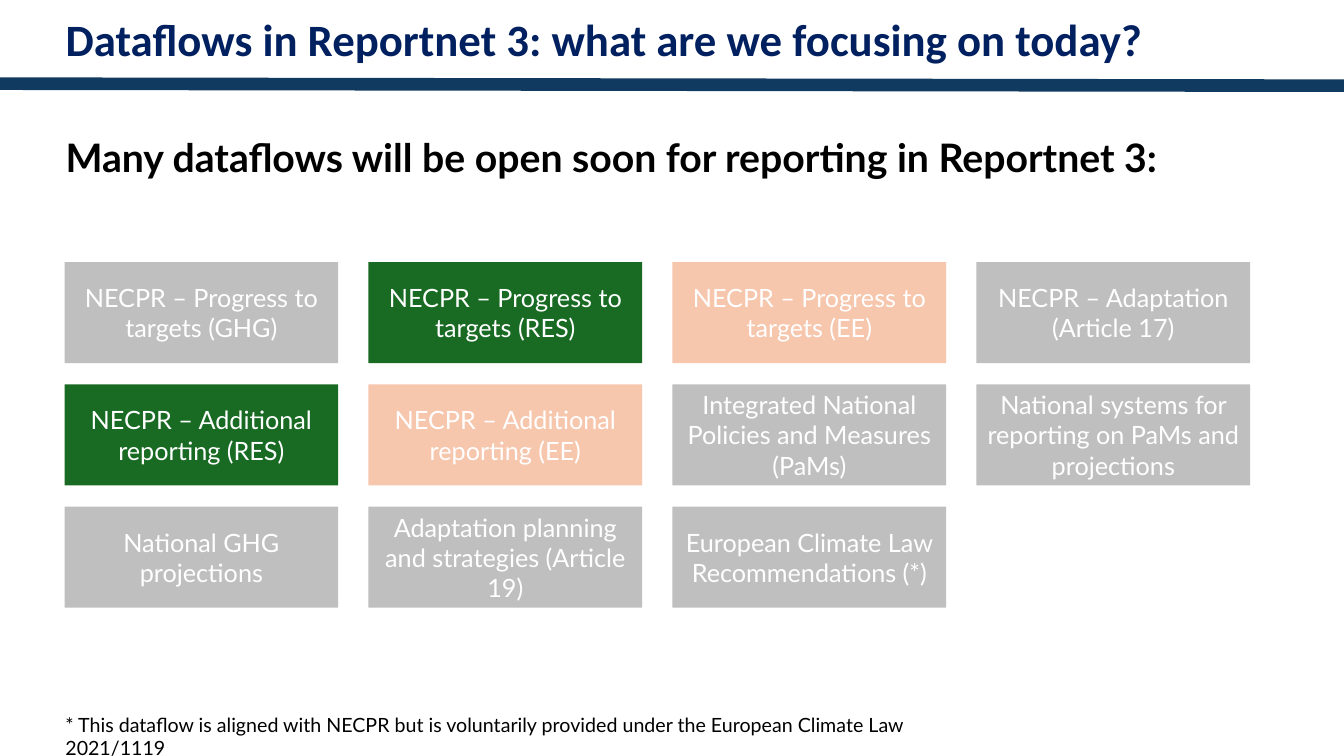
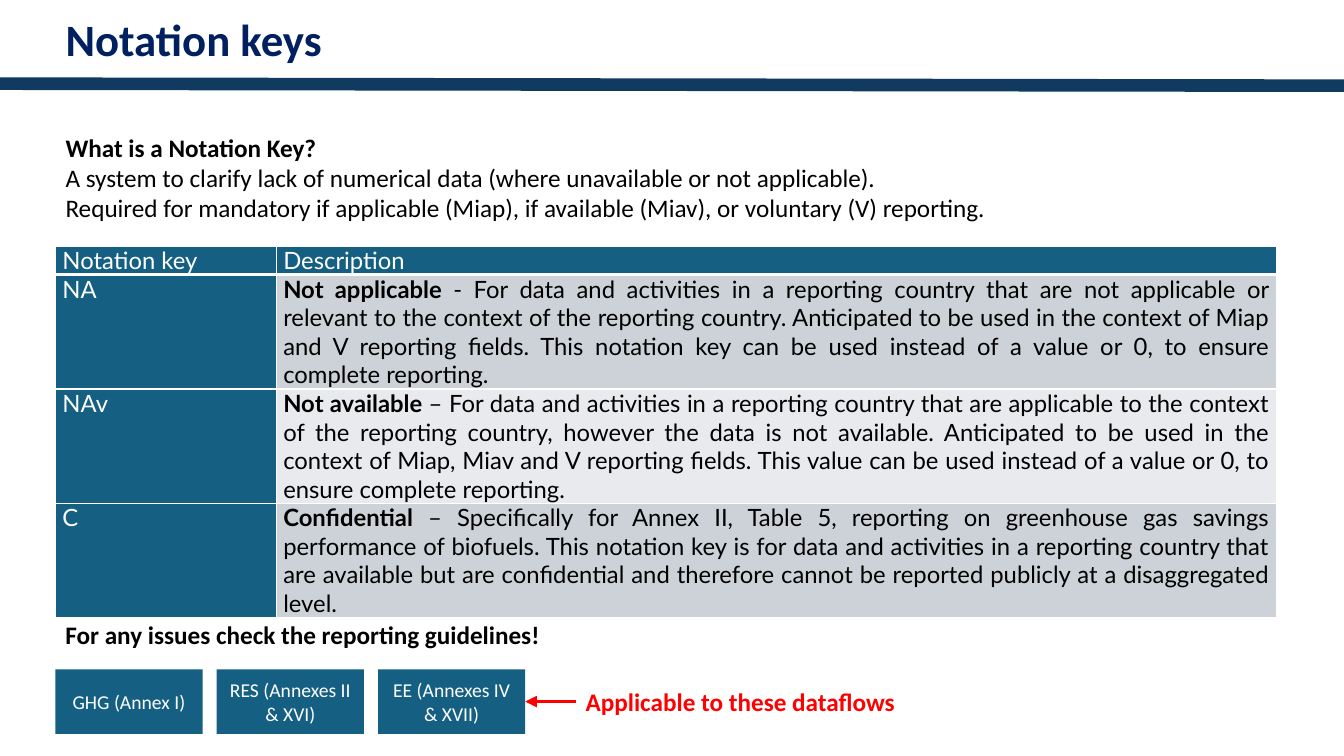
from dataclasses import dataclass

from lxml.etree import SubElement
from pptx import Presentation
from pptx.dml.color import RGBColor
from pptx.enum.shapes import MSO_CONNECTOR, MSO_SHAPE
from pptx.enum.text import MSO_ANCHOR, MSO_AUTO_SIZE, PP_ALIGN
from pptx.oxml.ns import qn
from pptx.util import Inches, Pt


@dataclass(frozen=True)
class Theme:
    heading_font: str = "Calibri"
    body_font: str = "Lato"
    navy: str = "002060"
    band: str = "113A60"
    black: str = "000000"
    white: str = "FFFFFF"
    gray: str = "BFBFBF"
    green: str = "196B24"
    peach: str = "F6C6AD"
    teal: str = "156082"
    row_dark: str = "CCD2D8"
    row_light: str = "E8EAED"
    red: str = "FF0000"
    title_size: float = 32
    lead_size: float = 28
    text_size: float = 18
    table_size: float = 17
    small_size: float = 14


@dataclass(frozen=True)
class Box:
    left: float
    top: float
    width: float
    height: float

    def lengths(self):
        return [Inches(value) for value in (self.left, self.top, self.width, self.height)]


THEME = Theme()

DATAFLOWS = [
    [
        ("NECPR – Progress to targets (GHG)", THEME.gray),
        ("NECPR – Progress to targets (RES)", THEME.green),
        ("NECPR – Progress to targets (EE)", THEME.peach),
        ("NECPR – Adaptation (Article 17)", THEME.gray),
    ],
    [
        ("NECPR – Additional reporting (RES)", THEME.green),
        ("NECPR – Additional reporting (EE)", THEME.peach),
        ("Integrated National Policies and Measures (PaMs)", THEME.gray),
        ("National systems for reporting on PaMs and projections", THEME.gray),
    ],
    [
        ("National GHG projections", THEME.gray),
        ("Adaptation planning and strategies (Article 19)", THEME.gray),
        ("European Climate Law Recommendations (*)", THEME.gray),
    ],
]

NOTATION_KEYS = [
    (
        "NA",
        "Not applicable ",
        "- For data and activities in a reporting country that are not applicable or relevant to the "
        "context of the reporting country. Anticipated to be used in the context of Miap and V reporting "
        "fields. This notation key can be used instead of a value or 0, to ensure complete reporting.",
    ),
    (
        "NAv",
        "Not available ",
        "– For data and activities in a reporting country that are applicable to the context of the "
        "reporting country, however the data is not available. Anticipated to be used in the context of "
        "Miap, Miav and V reporting fields. This value can be used instead of a value or 0, to ensure "
        "complete reporting.",
    ),
    (
        "C",
        "Confidential",
        " – Specifically for Annex II, Table 5, reporting on greenhouse gas savings performance of "
        "biofuels. This notation key is for data and activities in a reporting country that are available "
        "but are confidential and therefore cannot be reported publicly at a disaggregated level.",
    ),
]


def color(value):
    return RGBColor.from_string(value)


def add_run(paragraph, text, size, ink=THEME.black, font=THEME.heading_font, bold=False):
    run = paragraph.add_run()
    run.text = text
    run.font.name = font
    run.font.size = Pt(size)
    run.font.bold = bold
    run.font.color.rgb = color(ink)


def place(shape, box):
    shape.left, shape.top, shape.width, shape.height = box.lengths()


def add_text(slide, box, text, size, **style):
    shape = slide.shapes.add_textbox(*box.lengths())
    shape.text_frame.word_wrap = True
    add_run(shape.text_frame.paragraphs[0], text, size, **style)
    return shape


def add_tile(slide, box, text, fill, size, font):
    shape = slide.shapes.add_shape(MSO_SHAPE.RECTANGLE, *box.lengths())
    shape.shadow.inherit = False
    shape.fill.solid()
    shape.fill.fore_color.rgb = color(fill)
    shape.line.fill.background()
    frame = shape.text_frame
    frame.word_wrap = True
    frame.vertical_anchor = MSO_ANCHOR.MIDDLE
    paragraph = frame.paragraphs[0]
    paragraph.alignment = PP_ALIGN.CENTER
    add_run(paragraph, text, size, ink=THEME.white, font=font)
    return shape


def add_line(slide, start, end, ink, width):
    points = [Inches(value) for value in (*start, *end)]
    connector = slide.shapes.add_connector(MSO_CONNECTOR.STRAIGHT, *points)
    connector.line.color.rgb = color(ink)
    connector.line.width = Pt(width)
    SubElement(connector.element.spPr, qn("a:effectLst"))
    return connector


def style_layout(layout, slide):
    title = layout.placeholders[0]
    place(title, Box(0.55, 0.06, 12.04, 0.64))
    title.text_frame.vertical_anchor = MSO_ANCHOR.MIDDLE
    band = add_line(slide, (0, 0.83), (13.33, 0.85), THEME.band, 9)
    layout.shapes.element.append(band.element)


def fill_title(slide, text):
    frame = slide.shapes.title.text_frame
    frame.auto_size = MSO_AUTO_SIZE.NONE
    paragraph = frame.paragraphs[0]
    paragraph.alignment = PP_ALIGN.LEFT
    add_run(paragraph, text, THEME.title_size, ink=THEME.navy, bold=True)


def fill_body(slide, box, lines, size, font, line_spacing):
    body = slide.placeholders[1]
    place(body, box)
    frame = body.text_frame
    frame.auto_size = MSO_AUTO_SIZE.NONE
    for index, (text, bold) in enumerate(lines):
        paragraph = frame.add_paragraph() if index else frame.paragraphs[0]
        properties = paragraph._p.get_or_add_pPr()
        properties.set("marL", "0")
        properties.set("indent", "0")
        SubElement(properties, qn("a:buNone"))
        paragraph.space_before = Pt(0)
        paragraph.line_spacing = line_spacing
        add_run(paragraph, text, size, font=font, bold=bold)


def add_dataflow_grid(slide, box, gap_x, gap_y):
    columns = max(len(row) for row in DATAFLOWS)
    width = (box.width - gap_x * (columns - 1)) / columns
    height = (box.height - gap_y * (len(DATAFLOWS) - 1)) / len(DATAFLOWS)
    for row, dataflows in enumerate(DATAFLOWS):
        for column, (text, fill) in enumerate(dataflows):
            left = box.left + column * (width + gap_x)
            top = box.top + row * (height + gap_y)
            add_tile(slide, Box(left, top, width, height), text, fill, THEME.text_size, THEME.body_font)


def set_borders(cell, widths):
    properties = cell._tc.get_or_add_tcPr()
    for side, width in widths.items():
        border = SubElement(properties, qn(f"a:ln{side}"), w=str(Pt(width)))
        fill = SubElement(border, qn("a:solidFill"))
        SubElement(fill, qn("a:srgbClr"), val=THEME.white)


def fill_cell(cell, runs, fill, ink, widths):
    set_borders(cell, widths)
    cell.fill.solid()
    cell.fill.fore_color.rgb = color(fill)
    cell.margin_left = cell.margin_right = Inches(0.07)
    cell.margin_top = cell.margin_bottom = 0
    paragraph = cell.text_frame.paragraphs[0]
    paragraph.alignment = PP_ALIGN.JUSTIFY
    paragraph.space_after = Pt(12)
    for text, bold in runs:
        add_run(paragraph, text, THEME.table_size, ink=ink, font=THEME.body_font, bold=bold)


def add_notation_table(slide, box, key_width, header_height):
    table = slide.shapes.add_table(len(NOTATION_KEYS) + 1, 2, *box.lengths()).table
    table.columns[0].width = Inches(key_width)
    table.columns[1].width = Inches(box.width - key_width)
    row_height = (box.height - header_height) / len(NOTATION_KEYS)
    for index, row in enumerate(table.rows):
        row.height = Inches(row_height if index else header_height)
    for column, text in enumerate(("Notation key", "Description")):
        widths = {"L": 1, "R": 1, "T": 1, "B": 3}
        fill_cell(table.cell(0, column), [(text, False)], THEME.teal, THEME.white, widths)
    for index, (key, term, description) in enumerate(NOTATION_KEYS, start=1):
        widths = {"L": 1, "R": 1, "T": 3 if index == 1 else 1, "B": 1}
        shade = THEME.row_dark if index % 2 else THEME.row_light
        fill_cell(table.cell(index, 0), [(key, False)], THEME.teal, THEME.white, widths)
        runs = [(term, True), (description, False)]
        fill_cell(table.cell(index, 1), runs, shade, THEME.black, widths)


def add_applicable_dataflows(slide, box, tile_width, gap, arrow_length):
    left = box.left
    for text in ("GHG (Annex I)", "RES (Annexes II & XVI)", "EE (Annexes IV & XVII)"):
        tile_box = Box(left, box.top, tile_width, box.height)
        tile = add_tile(slide, tile_box, text, THEME.teal, THEME.small_size, THEME.heading_font)
        left += tile_width + gap
    tiles_right = left - gap
    label_left = tiles_right + arrow_length
    middle = box.top + box.height / 2
    label_box = Box(label_left, middle - 0.2, box.left + box.width - label_left, 0.4)
    label = add_text(slide, label_box, "Applicable to these dataflows", THEME.text_size, ink=THEME.red, bold=True)
    arrow = add_line(slide, (label_left, middle), (tiles_right, middle), THEME.red, 2.75)
    arrow.begin_connect(label, 1)
    arrow.end_connect(tile, 3)
    SubElement(arrow.line._get_or_add_ln(), qn("a:tailEnd"), type="triangle")


def build_dataflows(slide):
    fill_title(slide, "Dataflows in Reportnet 3: what are we focusing on today?")
    lead = [("Many dataflows will be open soon for reporting in Reportnet 3:", True)]
    fill_body(slide, Box(0.55, 1.33, 12.49, 1.05), lead, THEME.lead_size, THEME.body_font, 0.9)
    add_dataflow_grid(slide, Box(0.64, 2.6, 11.76, 3.43), 0.3, 0.21)
    note = (
        "* This dataflow is aligned with NECPR but is voluntarily provided "
        "under the European Climate Law 2021/1119"
    )
    add_text(slide, Box(0.55, 7.02, 8.91, 0.34), note, THEME.small_size, font=THEME.body_font)


def build_notation_keys(slide):
    fill_title(slide, "Notation keys")
    introduction = [
        ("What is a Notation Key?", True),
        ("A system to clarify lack of numerical data (where unavailable or not applicable).", False),
        ("Required for mandatory if applicable (Miap), if available (Miav), or voluntary (V) reporting.", False),
    ]
    fill_body(slide, Box(0.55, 1.26, 9.5, 1.01), introduction, THEME.text_size, THEME.heading_font, 1.0)
    add_notation_table(slide, Box(0.55, 2.44, 12.11, 3.67), 2.19, 0.28)
    reminder = "For any issues check the reporting guidelines!"
    add_text(slide, Box(0.55, 6.09, 7.68, 0.4), reminder, THEME.text_size, bold=True)
    add_applicable_dataflows(slide, Box(0.55, 6.64, 8.44, 0.64), 1.46, 0.14, 0.5)


def main():
    presentation = Presentation()
    presentation.slide_width = Inches(13.33)
    presentation.slide_height = Inches(7.5)
    layout = presentation.slide_layouts[1]
    for index, build in enumerate((build_dataflows, build_notation_keys)):
        slide = presentation.slides.add_slide(layout)
        if index == 0:
            style_layout(layout, slide)
        build(slide)
    presentation.save("out.pptx")


if __name__ == "__main__":
    main()
